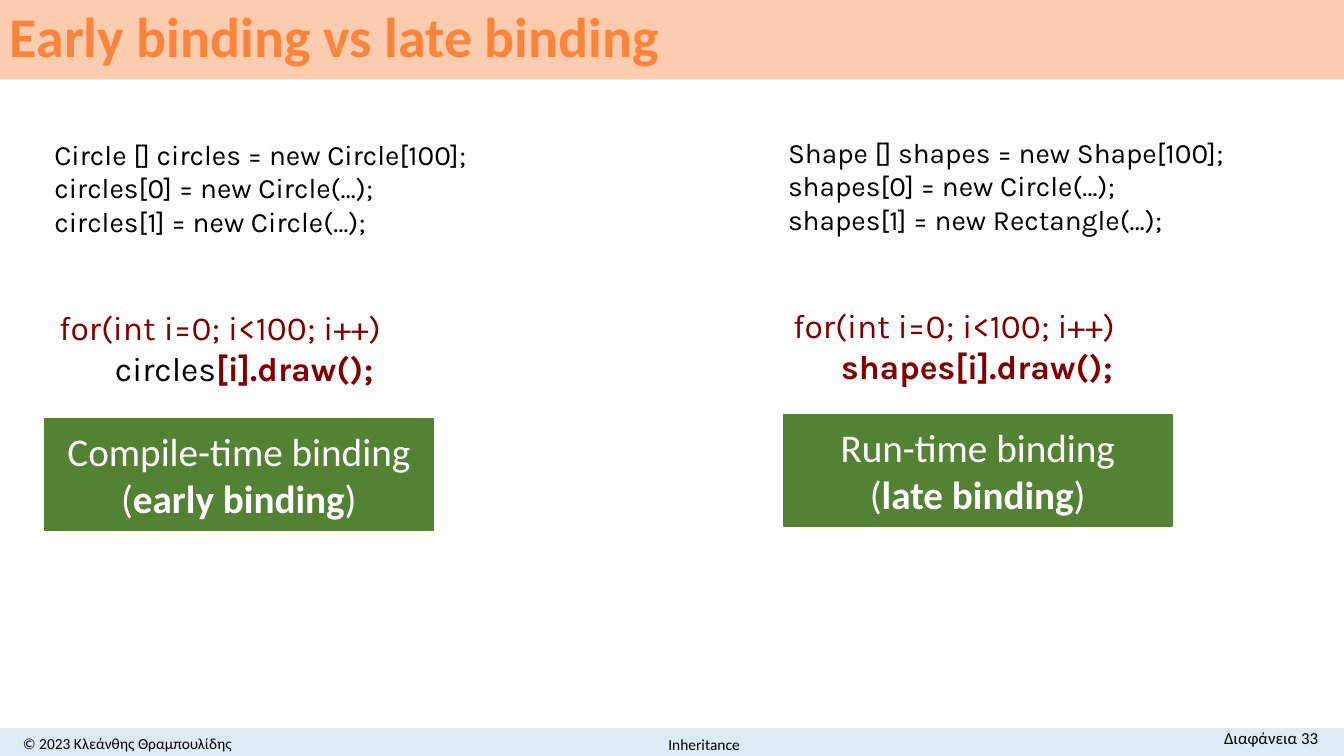
from pptx import Presentation
from pptx.dml.color import RGBColor
from pptx.enum.shapes import MSO_SHAPE
from pptx.enum.text import MSO_ANCHOR as Anchor, PP_ALIGN as Align
from pptx.util import Cm, Pt

COLORS = {
    "peach": "FDCBAD", "orange": "F9853D", "pale_blue": "DEEBF7", "green": "548235",
    "maroon": "800000", "black": "000000", "white": "FFFFFF",
}

presentation = Presentation()
presentation.slide_width, presentation.slide_height = Cm(33.87), Cm(19.05)
slide = presentation.slides.add_slide(presentation.slide_layouts[6])


def add_bar(box, color, outlined=False):
    shape = slide.shapes.add_shape(MSO_SHAPE.RECTANGLE, *map(Cm, box))
    shape.shadow.inherit = False
    shape.fill.solid()
    shape.fill.fore_color.rgb = RGBColor.from_string(COLORS[color])
    if outlined:
        shape.line.color.rgb = RGBColor.from_string(COLORS[color])
        shape.line.width = Pt(1)
    else:
        shape.line.fill.background()
    return shape


def write(shape, lines, size, color, name="Calibri", align=Align.LEFT,
          anchor=Anchor.MIDDLE, wrap=True, spacing=1.0):
    frame = shape.text_frame
    frame.word_wrap = wrap
    frame.vertical_anchor = anchor
    for index, runs in enumerate(lines):
        paragraph = frame.paragraphs[0] if index == 0 else frame.add_paragraph()
        paragraph.alignment = align
        paragraph.line_spacing = spacing
        for text, changes in runs:
            run = paragraph.add_run()
            run.text = text
            font = {"size": Pt(size), "name": name, "bold": False, "color": color} | changes
            run.font.color.rgb = RGBColor.from_string(COLORS[font.pop("color")])
            for attribute, value in font.items():
                setattr(run.font, attribute, value)


BOLD = {"bold": True}

add_bar((0, 18.34, 33.87, 0.71), "pale_blue")
title = add_bar((0, 0, 33.87, 2), "peach")
write(title, [[("Early binding vs late binding", BOLD)]], 40, "orange", spacing=0.9)

footers = [
    ((0, 18.34, 6.43, 0.76), "© 2023 Κλεάνθης Θραμπουλίδης", 11, Align.CENTER, Anchor.MIDDLE),
    ((28.24, 18.21, 5.23, 0.76), "Διαφάνεια 33", 12, Align.RIGHT, Anchor.TOP),
    ((9.25, 18.39, 16.99, 0.76), "Inheritance", 11, Align.CENTER, Anchor.MIDDLE),
]
for box, text, size, align, anchor in footers:
    footer = slide.shapes.add_textbox(*map(Cm, box))
    write(footer, [[(text, {})]], size, "black", align=align, anchor=anchor)

examples = [
    {
        "setup_box": (1.12, 3.33, 11.33, 2.82),
        "setup": ["Circle [] circles = new Circle[100];",
                  "circles[0] = new Circle(…);",
                  "circles[1] = new Circle(…);"],
        "loop_box": (1.24, 7.62, 10.13, 2.31),
        "call": [("       ", {}), ("circles", {"color": "black"}), ("[i].draw();", BOLD)],
        "label_box": (1.12, 10.54, 9.8, 2.82),
        "label": [[("Compile-time binding (", {}), ("early binding", BOLD), (")", {})]],
    },
    {
        "setup_box": (19.61, 3.28, 11.86, 2.79),
        "setup": ["Shape [] shapes = new Shape[100];",
                  "shapes[0] = new Circle(…);",
                  "shapes[1] = new Rectangle(…);"],
        "loop_box": (19.74, 7.57, 10.64, 2.31),
        "call": [("      ", {}), ("shapes[i].draw();", BOLD)],
        "label_box": (19.74, 10.44, 9.8, 2.82),
        "label": [[("Run-time binding", {})],
                  [("(", {}), ("late binding", BOLD), (")", {})]],
    },
]
for example in examples:
    setup = slide.shapes.add_textbox(*map(Cm, example["setup_box"]))
    write(setup, [[(line, {})] for line in example["setup"]], 20, "black", "Karla",
          anchor=Anchor.TOP, wrap=False)
    loop = slide.shapes.add_textbox(*map(Cm, example["loop_box"]))
    write(loop, [[("for(int i=0; i<100; i++)", {})], example["call"]], 24, "maroon", "Karla",
          anchor=Anchor.TOP)
    label = add_bar(example["label_box"], "green", outlined=True)
    write(label, example["label"], 28, "white", align=Align.CENTER)

presentation.save("out.pptx")
